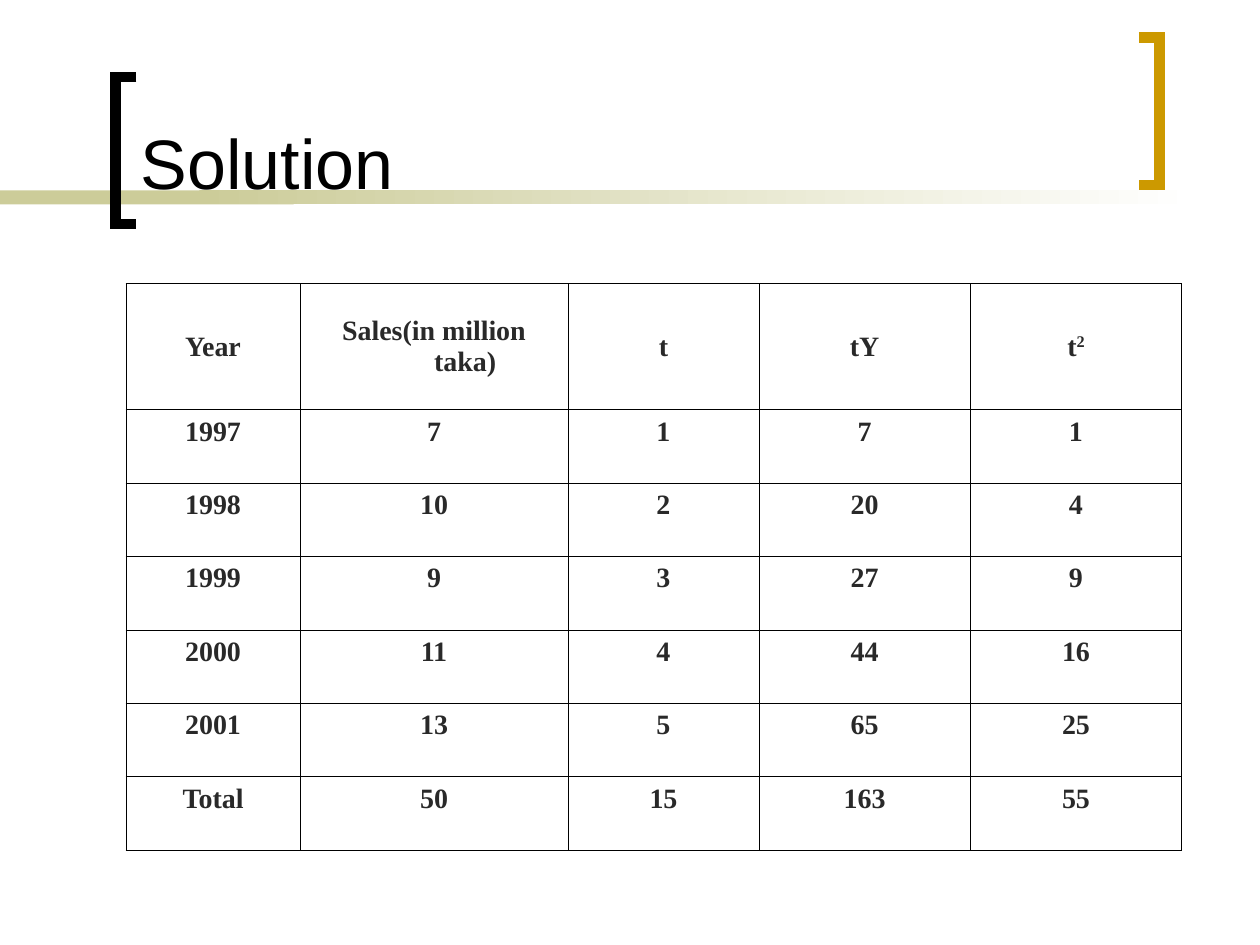
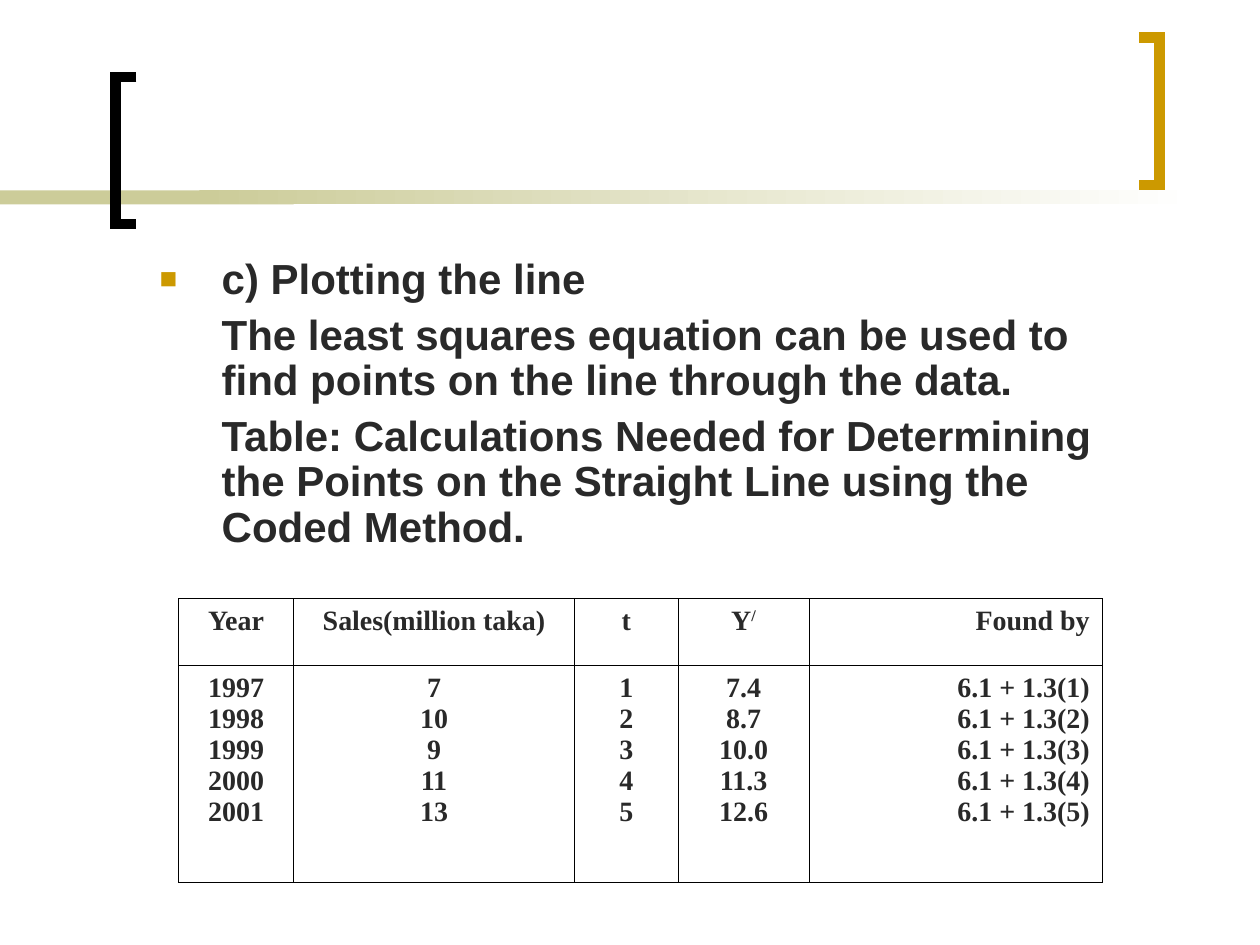
"""Build two slides on a least squares trend: the solution table and the points on the line."""
from lxml import etree
from pptx import Presentation
from pptx.dml.color import RGBColor
from pptx.enum.shapes import MSO_SHAPE
from pptx.enum.text import MSO_ANCHOR, PP_ALIGN
from pptx.oxml.ns import qn
from pptx.util import Cm, Pt

RECTANGLE = MSO_SHAPE.RECTANGLE
TOP, MIDDLE, BOTTOM = MSO_ANCHOR.TOP, MSO_ANCHOR.MIDDLE, MSO_ANCHOR.BOTTOM
LEFT, CENTER, RIGHT = PP_ALIGN.LEFT, PP_ALIGN.CENTER, PP_ALIGN.RIGHT

BLACK = RGBColor(0x00, 0x00, 0x00)
WHITE = RGBColor(0xFF, 0xFF, 0xFF)
INK = RGBColor(0x29, 0x29, 0x29)
GOLD = RGBColor(0xCC, 0x99, 0x00)
SAND = RGBColor(0xCC, 0xCC, 0x99)

SANS, SERIF = "Arial", "Times New Roman"
HANGING = Cm(1.25)
BAND_TOP, BAND_HEIGHT = Cm(3.84), Cm(0.28)
BRACKET_WIDTH, BRACKET_HEIGHT = Cm(0.42), Cm(2.97)

TITLE = "Solution"
SOLUTION_ROWS = [
    ["Year", "Sales(in million taka)", "t", "tY", ("t", "2")],
    ["1997", "7", "1", "7", "1"],
    ["1998", "10", "2", "20", "4"],
    ["1999", "9", "3", "27", "9"],
    ["2000", "11", "4", "44", "16"],
    ["2001", "13", "5", "65", "25"],
    ["Total", "50", "15", "163", "55"],
]
SOLUTION_LAYOUT = {
    "left": 2.54, "top": 5.72,
    "widths": [3.51, 5.4, 3.85, 4.26, 4.26],
    "heights": [2.54] + [1.48] * 6,
    "alignments": [CENTER] * 5,
    "header_anchor": MIDDLE,
}

PLOTTING_TEXT = [
    "c) Plotting the line",
    "The least squares equation can be used to find points on the line through the data.",
    "Table: Calculations Needed for Determining the Points on the Straight Line "
    "using the Coded Method.",
]
POINTS_HEADER = ["Year", "Sales(million taka)", "t", ("Y", "/"), "Found by"]
POINTS = [
    ("1997", "7", "1", "7.4", "6.1 + 1.3(1)"),
    ("1998", "10", "2", "8.7", "6.1 + 1.3(2)"),
    ("1999", "9", "3", "10.0", "6.1 + 1.3(3)"),
    ("2000", "11", "4", "11.3", "6.1 + 1.3(4)"),
    ("2001", "13", "5", "12.6", "6.1 + 1.3(5)"),
]
POINTS_LAYOUT = {
    "left": 3.6, "top": 12.07,
    "widths": [2.32, 5.66, 2.09, 2.64, 5.91],
    "heights": [1.35, 4.37],
    "alignments": [CENTER] * 4 + [RIGHT],
    "header_anchor": TOP,
}


def add_run(paragraph, text, font_name, size, color, bold=False, superscript=False):
    run = paragraph.add_run()
    run.text = text
    run.font.name = font_name
    run.font.size = Pt(size)
    run.font.bold = bold
    run.font.color.rgb = color
    if superscript:
        run._r.get_or_add_rPr().set("baseline", "30000")


def next_paragraph(text_frame, index):
    return text_frame.add_paragraph() if index else text_frame.paragraphs[0]


def set_indent(paragraph, margin, first_line):
    properties = paragraph._p.get_or_add_pPr()
    properties.set("marL", str(margin))
    properties.set("indent", str(first_line))
    return properties


def add_bullet(properties):
    color = etree.SubElement(properties, qn("a:buClr"))
    etree.SubElement(color, qn("a:srgbClr"), val=str(GOLD))
    etree.SubElement(properties, qn("a:buSzPct"), val="70000")
    etree.SubElement(properties, qn("a:buFont"), typeface=SANS)
    etree.SubElement(properties, qn("a:buChar"), char="■")


def add_band(slide, left, width):
    band = slide.shapes.add_shape(RECTANGLE, left, BAND_TOP, width, BAND_HEIGHT)
    band.shadow.inherit = False
    band.line.fill.background()
    return band.fill


def add_bracket(slide, spine, tip, top, color):
    bottom = top + BRACKET_HEIGHT
    builder = slide.shapes.build_freeform(tip, top)
    builder.add_line_segments([(spine, top), (spine, bottom), (tip, bottom)], close=False)
    bracket = builder.convert_to_shape()
    bracket.shadow.inherit = False
    bracket.fill.background()
    bracket.line.color.rgb = color
    bracket.line.width = Pt(6)
    etree.SubElement(bracket.line._get_or_add_ln(), qn("a:miter"), lim="800000")


def add_framed_slide(presentation):
    slide = presentation.slides.add_slide(presentation.slide_layouts[6])
    solid = add_band(slide, 0, Cm(5.92))
    solid.solid()
    solid.fore_color.rgb = SAND
    fading = add_band(slide, Cm(4.02), Cm(20.11))
    fading.gradient()
    fading.gradient_angle = 0
    for stop, color in zip(fading.gradient_stops, (SAND, WHITE)):
        stop.color.rgb = color
    black_spine, gold_spine = Cm(2.33), Cm(23.38)
    add_bracket(slide, black_spine, black_spine + BRACKET_WIDTH, Cm(1.55), BLACK)
    add_bracket(slide, gold_spine, gold_spine - BRACKET_WIDTH, Cm(0.76), GOLD)
    return slide


def add_text_frame(slide, left, top, width, height, anchor):
    box = slide.shapes.add_textbox(Cm(left), Cm(top), Cm(width), Cm(height))
    box.text_frame.word_wrap = True
    box.text_frame.vertical_anchor = anchor
    return box.text_frame


def add_title(slide, title):
    text_frame = add_text_frame(slide, 2.59, 0.28, 19.89, 3.94, BOTTOM)
    add_run(text_frame.paragraphs[0], title, SANS, 40, BLACK)


def add_body(slide, texts):
    text_frame = add_text_frame(slide, 2.97, 5.08, 20.45, 6.55, TOP)
    for index, text in enumerate(texts):
        paragraph = next_paragraph(text_frame, index)
        paragraph.alignment = LEFT
        paragraph.line_spacing = 0.9
        paragraph.space_before = Pt(6)
        properties = set_indent(paragraph, HANGING, 0 if index else -HANGING)
        if index == 0:
            add_bullet(properties)
        add_run(paragraph, text, SANS, 24, INK, bold=True)


def set_borders(cell):
    properties = cell._tc.get_or_add_tcPr()
    for position, side in enumerate(("a:lnL", "a:lnR", "a:lnT", "a:lnB")):
        border = etree.Element(qn(side), w=str(Pt(0.45)))
        fill = etree.SubElement(border, qn("a:solidFill"))
        etree.SubElement(fill, qn("a:srgbClr"), val=str(BLACK))
        properties.insert(position, border)


def fill_cell(cell, content, alignment, anchor):
    cell.fill.background()
    set_borders(cell)
    cell.vertical_anchor = anchor
    lines = content if isinstance(content, list) else [content]
    for index, line in enumerate(lines):
        paragraph = next_paragraph(cell.text_frame, index)
        paragraph.alignment = alignment
        set_indent(paragraph, HANGING, -HANGING)
        parts = line if isinstance(line, tuple) else (line,)
        for part_index, part in enumerate(parts):
            add_run(paragraph, part, SERIF, 16, INK, bold=True, superscript=part_index > 0)


def add_grid(slide, rows, layout):
    widths, heights = layout["widths"], layout["heights"]
    frame = slide.shapes.add_table(
        len(heights), len(widths), Cm(layout["left"]), Cm(layout["top"]),
        Cm(sum(widths)), Cm(sum(heights)))
    table = frame.table
    table.first_row = table.horz_banding = False
    for column, width in zip(table.columns, widths):
        column.width = Cm(width)
    for row_index, (row, height, contents) in enumerate(zip(table.rows, heights, rows)):
        row.height = Cm(height)
        anchor = TOP if row_index else layout["header_anchor"]
        for cell, content, alignment in zip(row.cells, contents, layout["alignments"]):
            fill_cell(cell, content, alignment, anchor)


def main():
    presentation = Presentation()
    presentation.slide_width, presentation.slide_height = Cm(25.4), Cm(19.05)

    solution_slide = add_framed_slide(presentation)
    add_title(solution_slide, TITLE)
    add_grid(solution_slide, SOLUTION_ROWS, SOLUTION_LAYOUT)

    plotting_slide = add_framed_slide(presentation)
    add_body(plotting_slide, PLOTTING_TEXT)
    point_columns = [list(column) for column in zip(*POINTS)]
    add_grid(plotting_slide, [POINTS_HEADER, point_columns], POINTS_LAYOUT)

    presentation.save("out.pptx")


if __name__ == "__main__":
    main()
